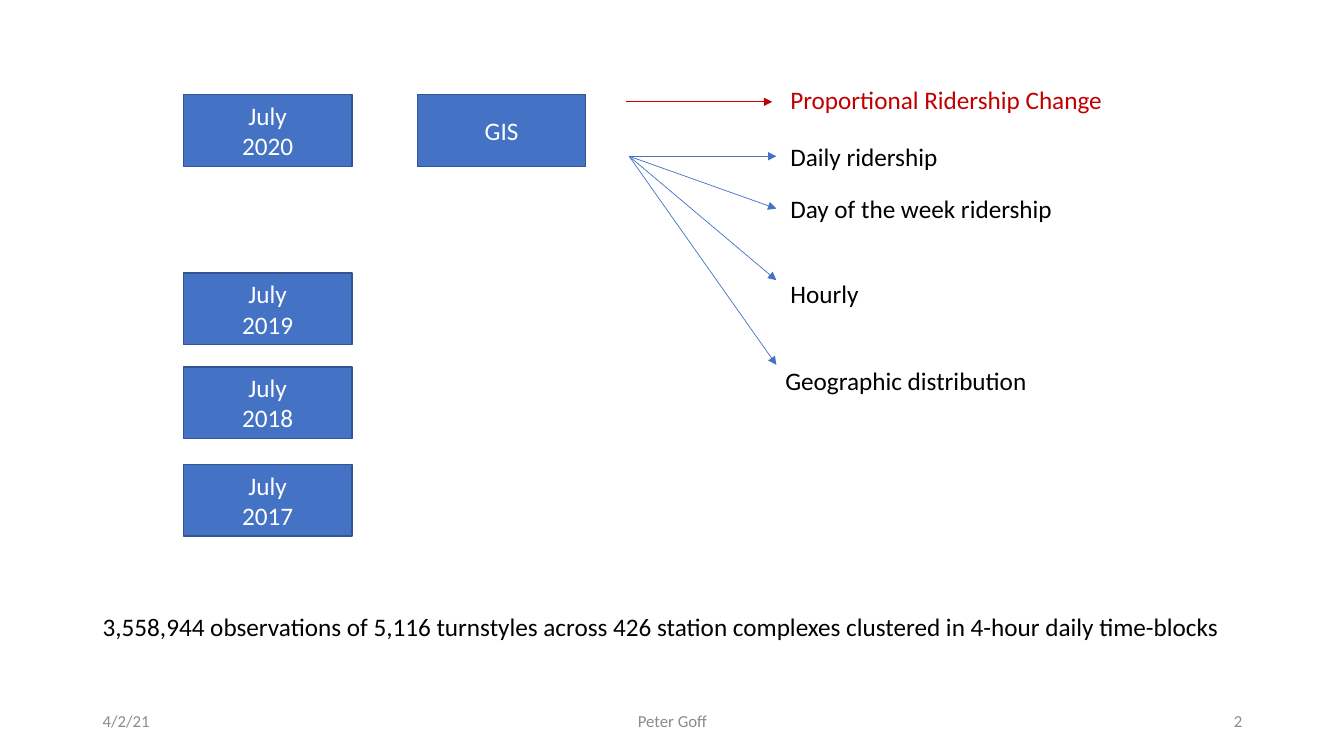
"""Build the slide that maps July ridership data to its analyses."""
import lxml.etree
import pptx
import pptx.dml.color
import pptx.enum.shapes
import pptx.enum.text
import pptx.oxml.ns
import pptx.util

Inches = pptx.util.Inches
RGBColor = pptx.dml.color.RGBColor
Align = pptx.enum.text.PP_ALIGN
Anchor = pptx.enum.text.MSO_ANCHOR

BLUE = RGBColor(0x44, 0x72, 0xC4)
BORDER = RGBColor(0x32, 0x54, 0x91)
RED = RGBColor(0xC0, 0x00, 0x00)
GREY = RGBColor(0x8C, 0x8C, 0x8C)
BLACK = RGBColor(0x00, 0x00, 0x00)
WHITE = RGBColor(0xFF, 0xFF, 0xFF)

MARGIN = 0.92
TEXT_HEIGHT = 0.4
BOX_WIDTH, BOX_HEIGHT = 1.67, 0.71
MONTH_LEFT, GIS_LEFT, TOP_ROW = 1.82, 4.14, 0.94
LABEL_LEFT = 7.74
FAN_LEFT, FAN_TOP, FAN_RIGHT = 6.24, 1.55, 7.7
FOOTER_TOP = 6.95


def write_text(shape, text, size=18, color=BLACK, align=Align.LEFT,
               anchor=Anchor.TOP, wrap=False):
    """Fill a shape with text, one paragraph per line."""
    frame = shape.text_frame
    frame.text = text
    frame.word_wrap = wrap
    frame.vertical_anchor = anchor
    for paragraph in frame.paragraphs:
        paragraph.alignment = align
        paragraph.font.name = "Calibri"
        paragraph.font.size = pptx.util.Pt(size)
        paragraph.font.color.rgb = color


def add_arrow(shapes, start, end, color):
    """Draw a thin straight arrow between two points in inches."""
    arrow = shapes.add_connector(pptx.enum.shapes.MSO_CONNECTOR.STRAIGHT,
                                 *map(Inches, start + end))
    arrow.line.color.rgb = color
    arrow.line.width = pptx.util.Pt(0.5)
    qn = pptx.oxml.ns.qn
    line = arrow.line._get_or_add_ln()
    lxml.etree.SubElement(line, qn("a:tailEnd"), type="triangle")
    lxml.etree.SubElement(arrow._element.spPr, qn("a:effectLst"))


presentation = pptx.Presentation()
presentation.slide_width = Inches(13.33)
presentation.slide_height = Inches(7.5)
slide = presentation.slides.add_slide(presentation.slide_layouts[6])
shapes = slide.shapes

boxes = [
    ("July\n2020", MONTH_LEFT, TOP_ROW),
    ("July\n2019", MONTH_LEFT, 2.71),
    ("July\n2018", MONTH_LEFT, 3.64),
    ("July\n2017", MONTH_LEFT, 4.61),
    ("GIS", GIS_LEFT, TOP_ROW),
]
for text, left, top in boxes:
    box = shapes.add_shape(pptx.enum.shapes.MSO_SHAPE.RECTANGLE, Inches(left),
                           Inches(top), Inches(BOX_WIDTH), Inches(BOX_HEIGHT))
    box.shadow.inherit = False
    box.fill.solid()
    box.fill.fore_color.rgb = BLUE
    box.line.color.rgb = BORDER
    box.line.width = pptx.util.Pt(1)
    write_text(box, text, color=WHITE, align=Align.CENTER,
               anchor=Anchor.MIDDLE, wrap=True)

add_arrow(shapes, (6.21, 1.01), (7.66, 1.01), RED)
for arrow_end in (FAN_TOP, 2.07, 2.78, 3.62):
    add_arrow(shapes, (FAN_LEFT, FAN_TOP), (FAN_RIGHT, arrow_end), BLUE)

labels = [
    ("Proportional Ridership Change", LABEL_LEFT, 0.79, 3.33, RED),
    ("Daily ridership", LABEL_LEFT, 1.35, 1.68, BLACK),
    ("Day of the week ridership", LABEL_LEFT, 1.87, 2.83, BLACK),
    ("Hourly", LABEL_LEFT, 2.71, 0.89, BLACK),
    ("Geographic distribution", 7.69, 3.58, 2.62, BLACK),
    ("3,558,944 observations of 5,116 turnstyles across 426 station complexes "
     "clustered in 4-hour daily time-blocks", MARGIN, 6.02, 11.48, BLACK),
]
for text, left, top, width, color in labels:
    label = shapes.add_textbox(Inches(left), Inches(top), Inches(width),
                               Inches(TEXT_HEIGHT))
    write_text(label, text, color=color)
    label.text_frame.auto_size = pptx.enum.text.MSO_AUTO_SIZE.SHAPE_TO_FIT_TEXT

footers = [
    ("4/2/21", MARGIN, 3, Align.LEFT),
    ("Peter Goff", 4.42, 4.5, Align.CENTER),
    ("2", 9.42, 3, Align.RIGHT),
]
for text, left, width, align in footers:
    footer = shapes.add_textbox(Inches(left), Inches(FOOTER_TOP),
                                Inches(width), Inches(TEXT_HEIGHT))
    write_text(footer, text, size=12, color=GREY, align=align,
               anchor=Anchor.MIDDLE, wrap=True)

presentation.save("out.pptx")
